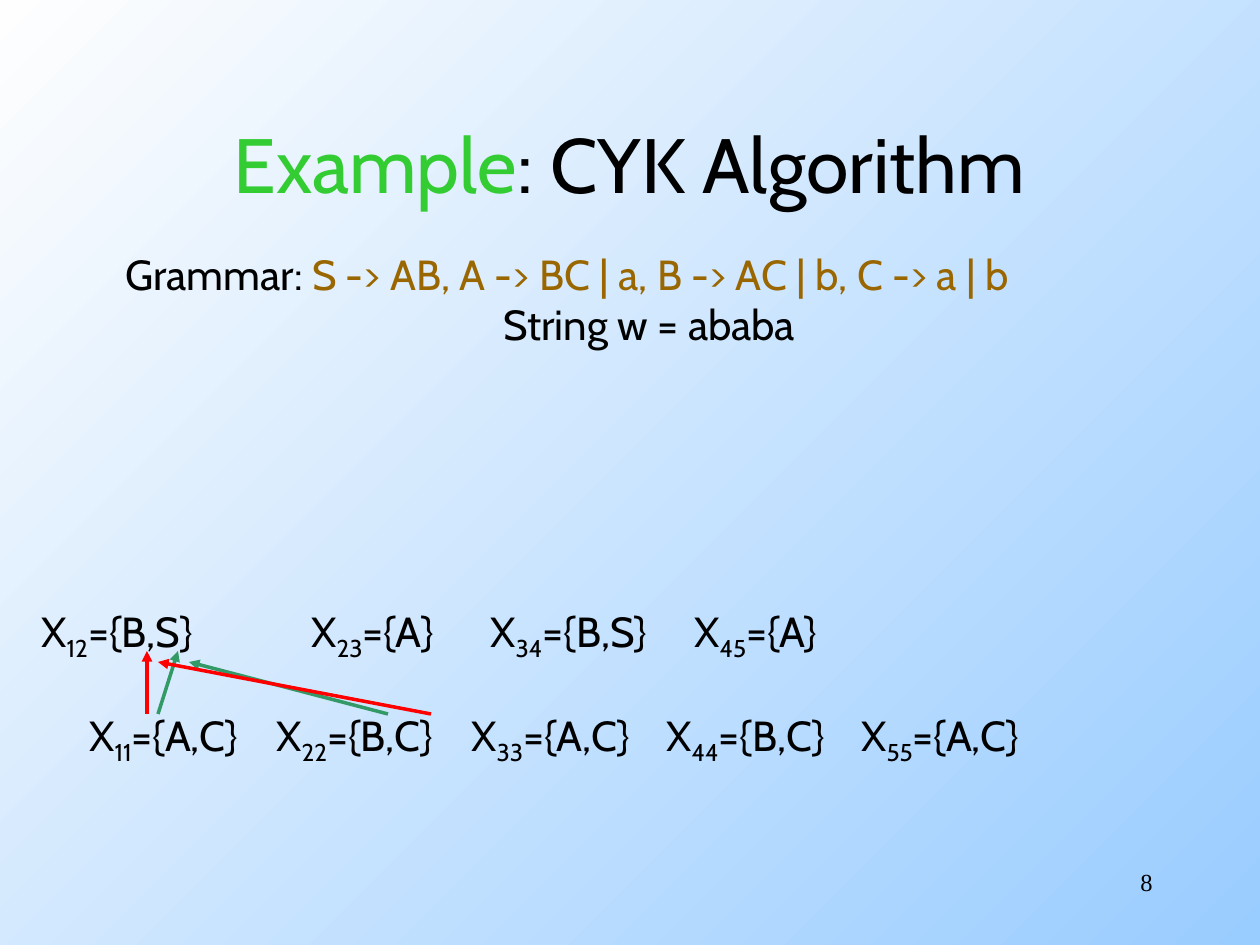
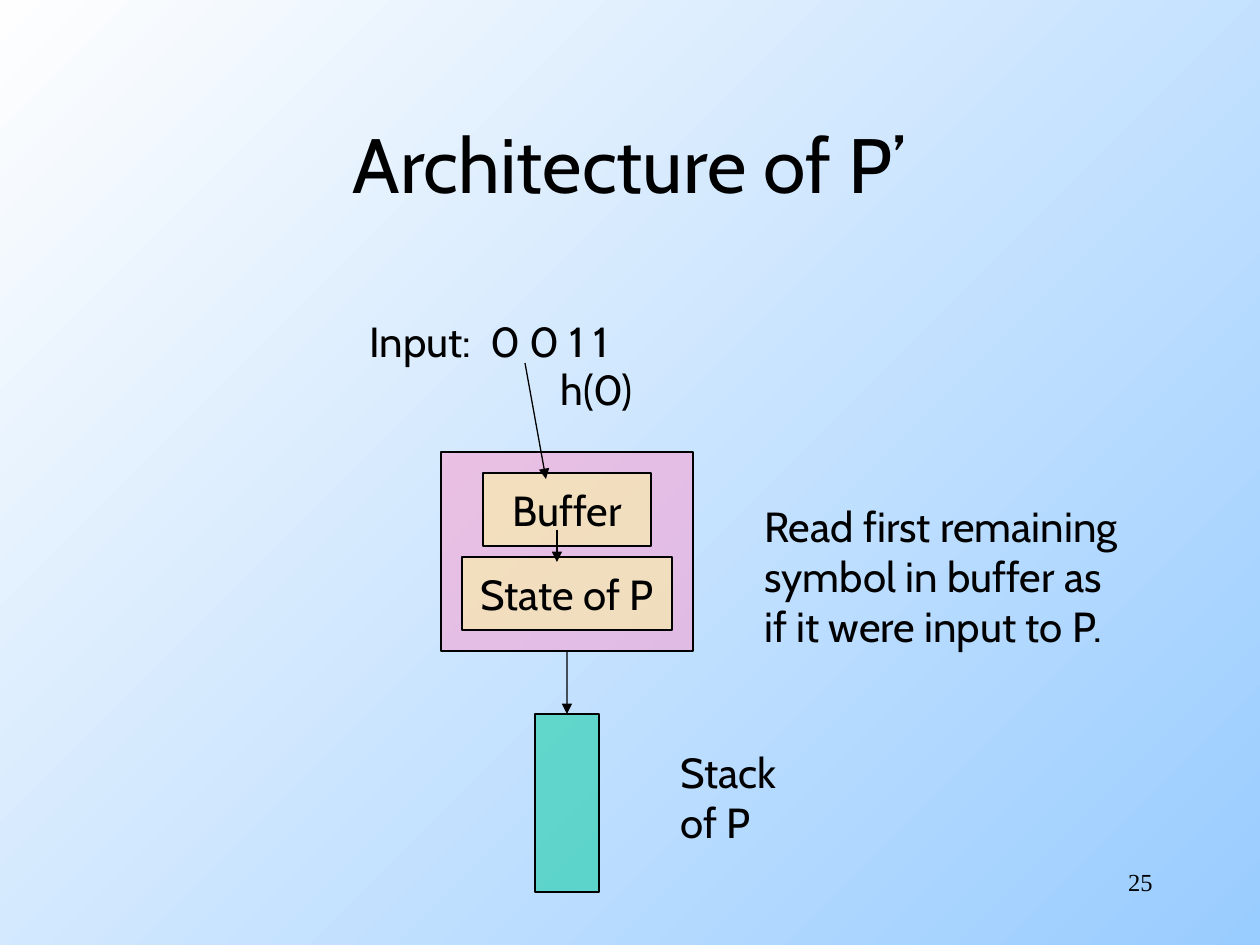
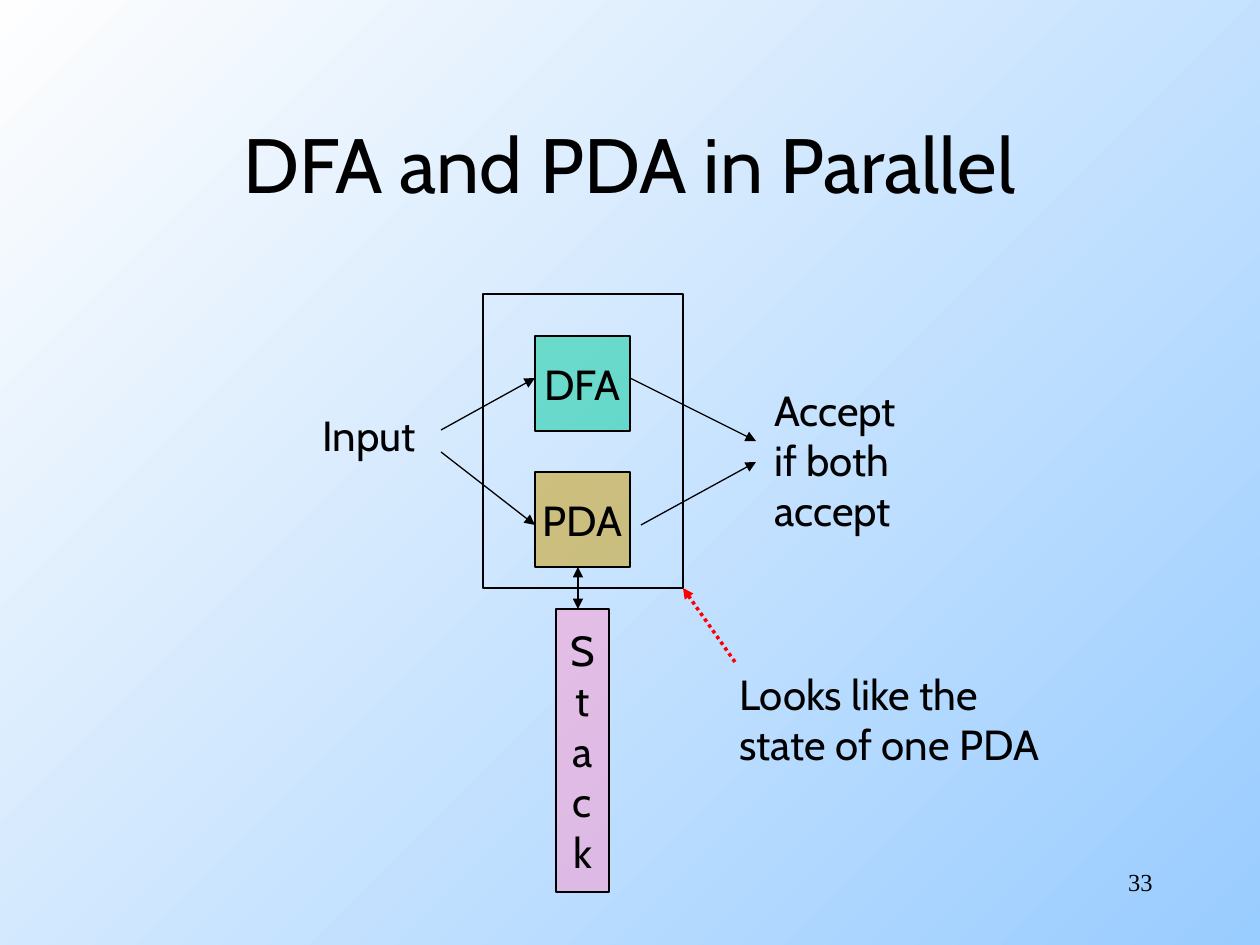
from lxml.etree import SubElement
from pptx import Presentation
from pptx.dml.color import RGBColor
from pptx.enum.dml import MSO_LINE
from pptx.enum.shapes import MSO_CONNECTOR, MSO_SHAPE
from pptx.enum.text import MSO_ANCHOR, PP_ALIGN
from pptx.oxml.ns import qn
from pptx.util import Pt

# Shared look
PX = 914400 / 126
COLORS = {
    "black": "000000", "lime": "33CC33", "brown": "996600", "green": "339966",
    "red": "FF0000", "pink": "FF99CC", "yellow": "FFFF99", "teal": "00CC99",
    "ochre": "CC9900", "sky": "99CCFF", "white": "FEFEFE",
}
FONTS = {
    "title": {"name": "Cabin", "size": Pt(44)},
    "body": {"name": "Cabin", "size": Pt(24)},
    "number": {"name": "Times New Roman", "size": Pt(14)},
}
TITLE_BOX = (94, 84, 1071, 158)
NUMBER_BOX = (903, 861, 262, 63)
SUBSCRIPT = "subscript"


def px(*lengths):
    return [round(length * PX) for length in lengths]


def write_text(frame, paragraphs, font, align=PP_ALIGN.LEFT, tabs=()):
    """Each paragraph is a string or a list of (text, colour or SUBSCRIPT)."""
    for index, content in enumerate(paragraphs):
        paragraph = frame.add_paragraph() if index else frame.paragraphs[0]
        paragraph.alignment = align
        if tabs:
            tab_list = SubElement(paragraph._p.get_or_add_pPr(), qn("a:tabLst"))
            for position in px(*tabs):
                SubElement(tab_list, qn("a:tab"), pos=str(position), algn="l")
        runs = [(content, "black")] if isinstance(content, str) else content
        for text, style in runs:
            run = paragraph.add_run()
            run.text = text
            for attribute, value in FONTS[font].items():
                setattr(run.font, attribute, value)
            color = "black" if style == SUBSCRIPT else style
            run.font.color.rgb = RGBColor.from_string(COLORS[color])
            if style == SUBSCRIPT:
                run._r.get_or_add_rPr().set("baseline", "-25000")


# CYK table rows: cells (indices, set) become one tabbed line each
cyk_rows = []
for cells in (
    [("11", "A,C"), ("22", "B,C"), ("33", "A,C"), ("44", "B,C"), ("55", "A,C")],
    [("12", "B,S")],
    [("23", "A"), ("34", "B,S"), ("45", "A")],
):
    row = []
    for column, (indices, symbols) in enumerate(cells):
        row += [("\tX" if column else "X", "black"), (indices, SUBSCRIPT),
                ("={" + symbols + "}", "black")]
    cyk_rows.append(row)
first_row_tabs = [187 + 195 * column for column in range(4)]

# Slide content
# boxes: name -> (rectangle, fill, paragraphs)
# texts: (rectangle, paragraphs, tab stops)
# lines: (start, end, colour, width, dash); an end is a point or (box, site)
SLIDES = [
    {
        "title": [("Example", "lime"), (": CYK Algorithm", "black")],
        "number": "8",
        "boxes": {},
        "texts": [
            ((113, 242, 1041, 113), [
                [("Grammar: ", "black"),
                 ("S -> AB, A -> BC | a, B -> AC | b, C -> a | b", "brown")],
                "\tString w = ababa"], [378]),
            ((77, 703, 1066, 71), [cyk_rows[0]], first_row_tabs),
            ((29, 599, 195, 71), [cyk_rows[1]], []),
            ((299, 599, 586, 71), [cyk_rows[2]], [179, 383]),
        ],
        "lines": [
            ((158, 714), (178, 651), "green", 2, None),
            ((388, 714), (189, 662), "green", 2, None),
            ((147, 714), (147, 651), "red", 2, None),
            ((431, 714), (158, 662), "red", 2, None),
        ],
    },
    {
        "title": "Architecture of P’",
        "number": "25",
        "boxes": {
            "state": ((441, 452, 252, 199), "pink", []),
            "buffer": ((483, 473, 168, 73), "yellow", ["Buffer"]),
            "state of P": ((462, 557, 210, 73), "yellow", ["State of P"]),
            "stack": ((535, 714, 64, 178), "teal", []),
        },
        "texts": [
            ((357, 309, 293, 63), ["Input:\t0 0 1 1"], [121]),
            ((548, 357, 110, 63), ["h(0)"], []),
            ((668, 740, 130, 113), ["Stack", "of P"], []),
            ((752, 494, 427, 164), ["Read first remaining", "symbol in buffer as",
                                    "if it were input to P."], []),
        ],
        "lines": [
            ((525, 363), (546, 479), "black", 0.75, None),
            (("state", 2), ("stack", 0), "black", 0.75, None),
            ((557, 530), (557, 562), "black", 0.75, None),
        ],
    },
    {
        "title": "DFA and PDA in Parallel",
        "number": "33",
        "boxes": {
            "DFA": ((535, 336, 95, 95), "teal", ["DFA"]),
            "PDA": ((535, 472, 95, 95), "ochre", ["PDA"]),
            "stack": ((556, 609, 53, 283), "pink", list("Stack")),
            "combined state": ((483, 294, 200, 294), None, []),
        },
        "texts": [
            ((310, 403, 132, 63), ["Input"], []),
            ((762, 378, 156, 164), ["Accept", "if both", "accept"], []),
            ((727, 662, 353, 113), ["Looks like the", "state of one PDA"], []),
        ],
        "lines": [
            ((578, 588), (578, 567), "black", 0.75, None),
            ((578, 588), (578, 609), "black", 0.75, None),
            ((441, 430), (535, 378), "black", 0.75, None),
            ((441, 452), (535, 525), "black", 0.75, None),
            ((630, 378), (756, 441), "black", 0.75, None),
            ((641, 525), (756, 462), "black", 0.75, None),
            ((735, 662), (683, 588), "red", 2, MSO_LINE.ROUND_DOT),
        ],
    },
]

# Presentation and shared background
presentation = Presentation()
presentation.slide_width, presentation.slide_height = px(1260, 945)
background = presentation.slide_master.background.fill
background.gradient()
background.gradient_angle = 135
for stop, color in zip(background.gradient_stops, ("sky", "white")):
    stop.color.rgb = RGBColor.from_string(COLORS[color])

for content in SLIDES:
    slide = presentation.slides.add_slide(presentation.slide_layouts[5])

    # Title
    title = slide.shapes.title
    title.left, title.top, title.width, title.height = px(*TITLE_BOX)
    title.text_frame.vertical_anchor = MSO_ANCHOR.MIDDLE
    write_text(title.text_frame, [content["title"]], "title", PP_ALIGN.CENTER)

    # Boxes
    boxes = {}
    for name, (rectangle, fill, paragraphs) in content["boxes"].items():
        shape = slide.shapes.add_shape(MSO_SHAPE.RECTANGLE, *px(*rectangle))
        shape.shadow.inherit = False
        if fill:
            shape.fill.solid()
            shape.fill.fore_color.rgb = RGBColor.from_string(COLORS[fill])
            fill_color = shape._element.spPr.find(qn("a:solidFill"))[0]
            SubElement(fill_color, qn("a:alpha"), val="50000")
        else:
            shape.fill.background()
        shape.line.color.rgb = RGBColor.from_string(COLORS["black"])
        shape.line.width = Pt(0.75)
        shape.text_frame.word_wrap = False
        shape.text_frame.vertical_anchor = MSO_ANCHOR.MIDDLE
        write_text(shape.text_frame, paragraphs, "body", PP_ALIGN.CENTER)
        boxes[name] = shape

    # Labels
    for rectangle, paragraphs, tabs in content["texts"]:
        label = slide.shapes.add_textbox(*px(*rectangle))
        label.text_frame.word_wrap = True
        write_text(label.text_frame, paragraphs, "body", tabs=tabs)

    # Arrows
    for start, end, color, width, dash in content["lines"]:
        joined = start[0] in boxes
        points = (0, 0, 0, 0) if joined else px(*start, *end)
        arrow = slide.shapes.add_connector(MSO_CONNECTOR.STRAIGHT, *points)
        if joined:
            arrow.begin_connect(boxes[start[0]], start[1])
            arrow.end_connect(boxes[end[0]], end[1])
        arrow.line.color.rgb = RGBColor.from_string(COLORS[color])
        arrow.line.width = Pt(width)
        if dash:
            arrow.line.dash_style = dash
        properties = arrow._element.spPr
        SubElement(properties.find(qn("a:ln")), qn("a:tailEnd"), type="triangle")
        SubElement(properties, qn("a:effectLst"))

    # Slide number
    number = slide.shapes.add_textbox(*px(*NUMBER_BOX))
    number.text_frame.word_wrap = True
    write_text(number.text_frame, [content["number"]], "number", PP_ALIGN.RIGHT)

presentation.save("out.pptx")
